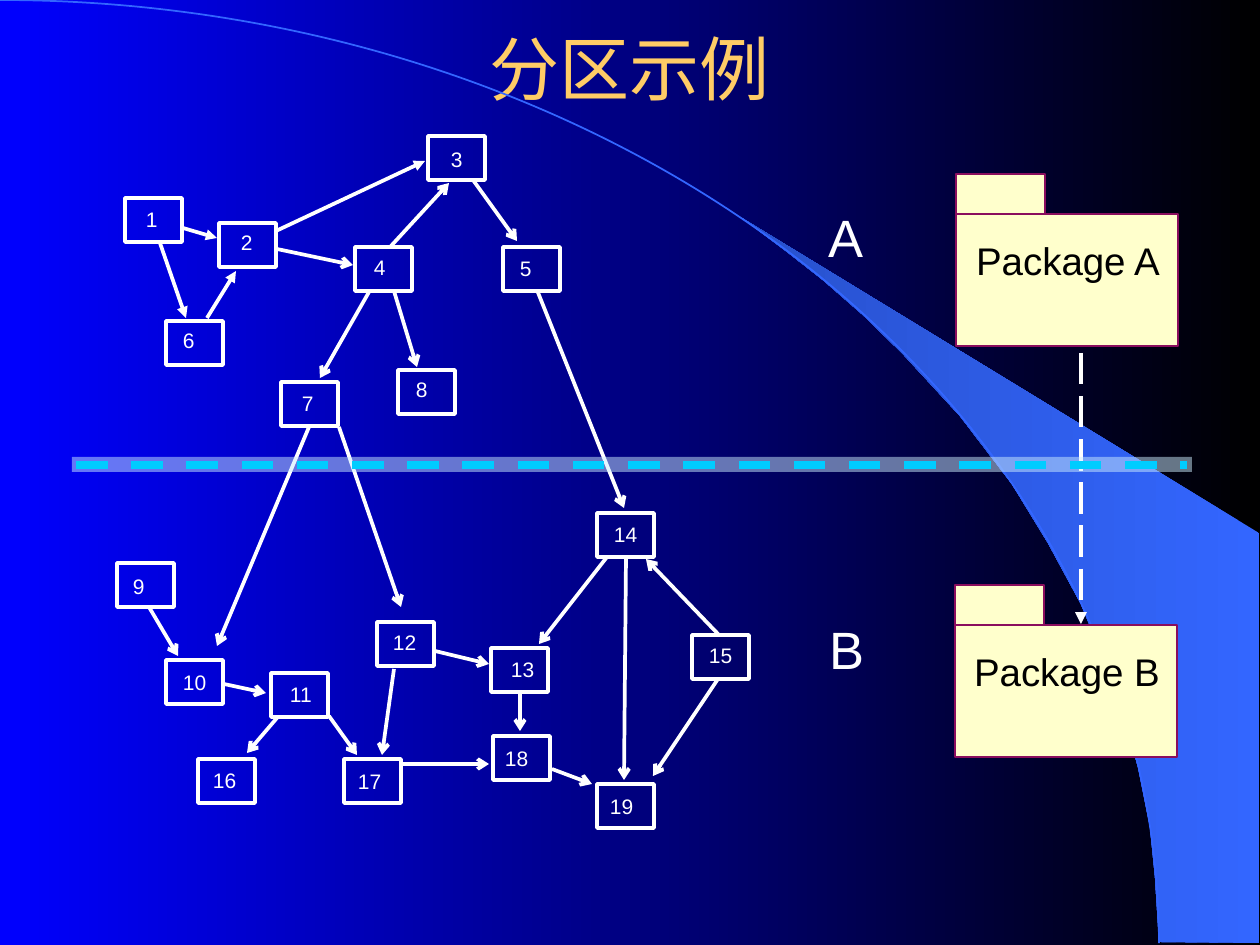
from pptx import Presentation
from pptx import util as u
from pptx.dml.color import RGBColor
from pptx.enum import dml, shapes, text
from pptx.oxml.ns import qn
from lxml import etree

SCALE = 914400 / 126
THEME = {
    "font": "Arial", "white": "FFFFFF", "black": "000000", "blue": "0000FF",
    "title": "FFCC66", "sweep": "3366FF", "sweep_dark": "2851CC",
    "paper": "FFFFCC", "border": "8A0E5E", "band": "CCECFF", "divider": "00CCFF",
    "title_size": 40, "letter_size": 30, "package_size": 22, "node_size": 12,
    "thin": 1, "stroke": 2.13, "dash": 2.25, "thick": 4.5,
}
TITLE = "分区示例"
NODE_SIZE = (57, 44)
LABEL_HEIGHT = 40

# number: node left, node top, label left, label top, label width
NODES = {
    1: (125, 198, 131, 199, 53), 2: (219, 223, 226, 222, 53),
    3: (428, 136, 436, 139, 53), 4: (355, 247, 359, 247, 53),
    5: (503, 247, 505, 248, 53), 6: (166, 321, 168, 320, 53),
    7: (281, 382, 287, 383, 53), 8: (398, 370, 401, 369, 53),
    9: (117, 563, 118, 566, 53), 10: (166, 660, 168, 662, 72),
    11: (271, 673, 275, 674, 63), 12: (377, 622, 378, 622, 63),
    13: (491, 648, 496, 649, 71), 14: (597, 513, 599, 514, 81),
    15: (692, 635, 694, 635, 87), 16: (198, 759, 198, 760, 76),
    17: (344, 759, 343, 761, 81), 18: (493, 736, 490, 738, 78),
    19: (597, 784, 595, 786, 79),
}
# start x, start y, end x, end y
SOLID_ARROWS = [
    (160, 243, 186, 318), (183, 228, 217, 238),
    (207, 318, 236, 271), (276, 231, 425, 161),
]
OPEN_ARROWS = [
    (391, 246, 449, 183), (277, 249, 353, 265), (394, 291, 417, 367),
    (369, 292, 320, 378), (149, 607, 178, 656), (309, 427, 217, 646),
    (224, 684, 266, 693), (277, 718, 247, 753), (339, 427, 401, 607),
    (473, 180, 517, 241), (537, 290, 624, 508), (719, 635, 646, 559),
    (435, 651, 489, 664), (607, 557, 539, 644), (329, 716, 357, 755),
    (394, 669, 382, 755), (520, 693, 520, 731), (402, 764, 489, 764),
    (626, 558, 624, 780), (718, 679, 653, 776), (552, 769, 592, 784),
]
# name, body left, body top
PACKAGES = [("Package A", 956, 214), ("Package B", 955, 625)]
LETTERS = [("A", 829, 205), ("B", 830, 617)]
SWEEP = [
    (1159, 942), (1259, 943), (1259, 533), (742, 218), (786, 251), (823, 280),
    (863, 315), (902, 353), (960, 416), (1012, 484), (1048, 543), (1081, 604),
    (1106, 665), (1125, 721), (1138, 767), (1150, 827), (1155, 877),
]


def px(*values):
    return [round(value * SCALE) for value in values]


def color(name):
    return RGBColor.from_string(THEME[name])


def set_gradient(fill, start, end):
    fill.gradient()
    fill.gradient_angle = 180
    for stop, name in zip(fill.gradient_stops, (start, end)):
        stop.color.rgb = color(name)


def set_line(line, name, width):
    line.color.rgb = color(name)
    line.width = u.Pt(THEME[width])


def write(box, words, size, name, **formats):
    frame = box.text_frame
    settings = {"word_wrap": False, "auto_size": text.MSO_AUTO_SIZE.NONE,
                "margin_left": 0, "margin_right": 0,
                "margin_top": 0, "margin_bottom": 0} | formats
    align = settings.pop("alignment", text.PP_ALIGN.LEFT)
    for key, value in settings.items():
        setattr(frame, key, value)
    para = frame.paragraphs[0]
    para.alignment = align
    span = para.add_run()
    span.text = words
    span.font.name = THEME["font"]
    span.font.size = u.Pt(THEME[size])
    span.font.color.rgb = color(name)


def add_box(page, kind, place, fill=None, line=None, width="thin"):
    box = page.shapes.add_shape(kind, *px(*place))
    box.shadow.inherit = False
    if fill:
        box.fill.solid()
        box.fill.fore_color.rgb = color(fill)
    else:
        box.fill.background()
    if line:
        set_line(box.line, line, width)
    else:
        box.line.fill.background()
    return box


def add_line(page, ends, name, width, head=None, dash=None):
    link = page.shapes.add_connector(shapes.MSO_CONNECTOR.STRAIGHT, *px(*ends))
    set_line(link.line, name, width)
    if dash:
        link.line.dash_style = dash
    if head:
        etree.SubElement(link.line._get_or_add_ln(), qn("a:tailEnd"), type=head)
    etree.SubElement(link._element.spPr, qn("a:effectLst"))


def main():
    deck = Presentation()
    deck.slide_width, deck.slide_height = u.Inches(10), u.Inches(7.5)
    page = deck.slides.add_slide(deck.slide_layouts[5])
    rect = shapes.MSO_SHAPE.RECTANGLE

    # Background with the curved sweep
    set_gradient(page.background.fill, "black", "blue")
    builder = page.shapes.build_freeform(*SWEEP[0], scale=SCALE)
    builder.add_line_segments(SWEEP[1:], close=True)
    sweep = builder.convert_to_shape()
    sweep.shadow.inherit = False
    sweep.line.fill.background()
    set_gradient(sweep.fill, "sweep", "sweep_dark")
    add_box(page, shapes.MSO_SHAPE.ARC, (-1159, 0, 2318, 1886), line="sweep")

    # Title
    title = page.shapes.title
    title.left, title.top, title.width, title.height = px(94, 35, 1071, 66)
    write(title, TITLE, "title_size", "title", word_wrap=True,
          vertical_anchor=text.MSO_ANCHOR.MIDDLE, alignment=text.PP_ALIGN.CENTER)

    # Dependency graph
    for left, top, *_ in NODES.values():
        add_box(page, rect, (left, top, *NODE_SIZE), line="white", width="stroke")
    for head, arrows in (("triangle", SOLID_ARROWS), ("arrow", OPEN_ARROWS)):
        for ends in arrows:
            add_line(page, ends, "white", "stroke", head)

    # Partition letters
    for letter, left, top in LETTERS:
        box = page.shapes.add_textbox(*px(left, top, 35, 63))
        write(box, letter, "letter_size", "white")

    # Packages and the dependency between them
    for name, left, top in PACKAGES:
        for place in ((left, top, 222, 132), (left, top - 40, 89, 40)):
            add_box(page, rect, place, "paper", "border")
        box = page.shapes.add_textbox(*px(left + 19, top + 23, 186, 47))
        write(box, name, "package_size", "black", alignment=text.PP_ALIGN.CENTER)
    add_line(page, (1081, 353, 1081, 624), "white", "dash", "triangle",
             dml.MSO_LINE.LONG_DASH)

    # Divider between the partitions
    band = add_box(page, rect, (72, 457, 1120, 15), "band")
    tint = band._element.spPr.find(qn("a:solidFill"))[0]
    etree.SubElement(tint, qn("a:alpha"), val="50000")
    add_line(page, (76, 465, 1187, 465), "divider", "thick", dash=dml.MSO_LINE.DASH)

    # Node numbers
    side, edge = px(15, 8)
    for number, (_, _, left, top, width) in NODES.items():
        box = page.shapes.add_textbox(*px(left, top, width, LABEL_HEIGHT))
        write(box, str(number), "node_size", "white", word_wrap=True,
              margin_left=side, margin_right=side, margin_top=edge, margin_bottom=edge)

    deck.save("out.pptx")


if __name__ == "__main__":
    main()
